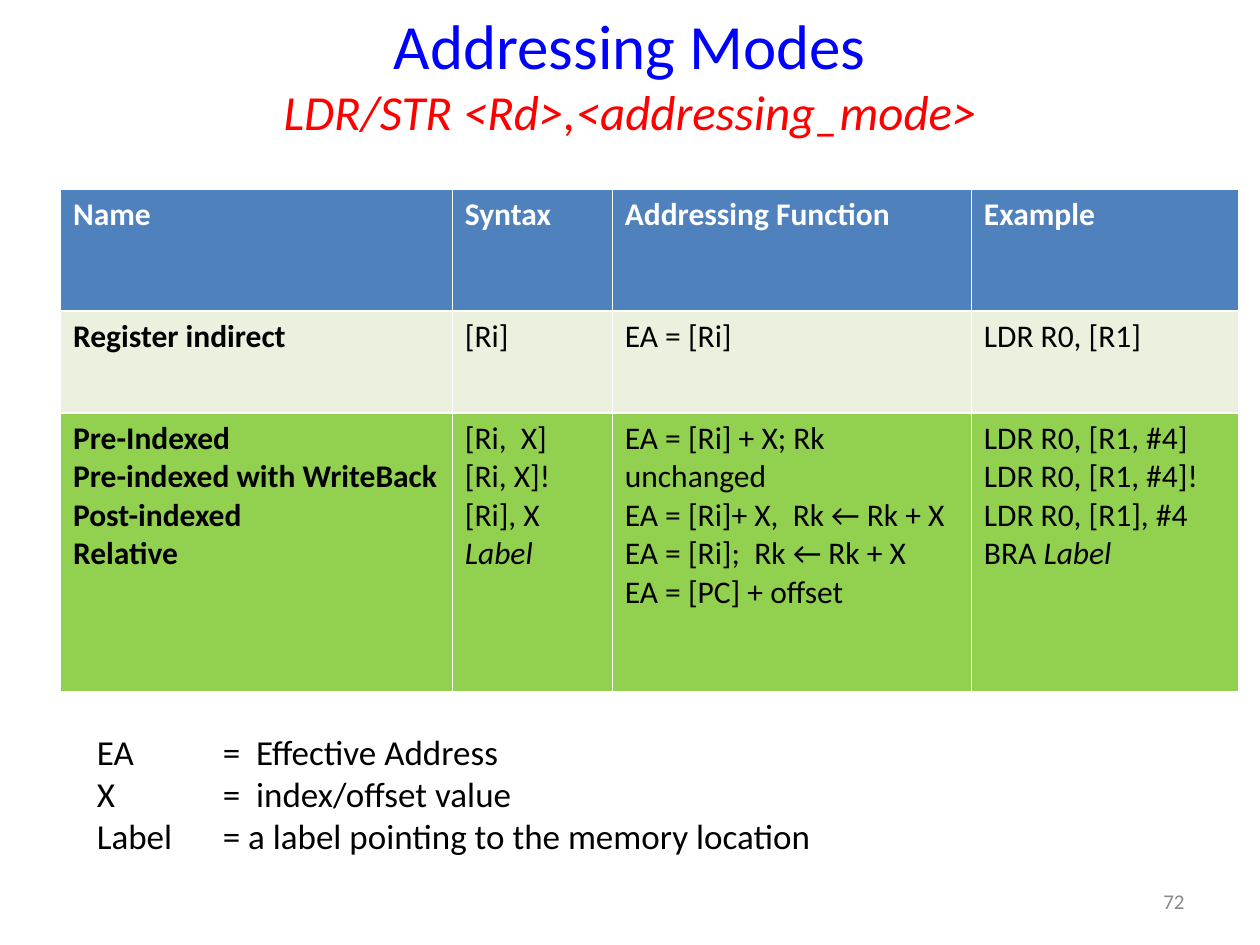
from lxml.etree import SubElement
from pptx import Presentation
from pptx.dml.color import RGBColor
from pptx.enum.text import MSO_ANCHOR, MSO_AUTO_SIZE, PP_ALIGN
from pptx.oxml.ns import qn
from pptx.util import Inches, Pt

HEADERS = ["Name", "Syntax", "Addressing Function", "Example"]
REGISTER_INDIRECT = ["Register indirect", "[Ri]", "EA = [Ri]", "LDR R0, [R1]"]
INDEXED = [
    "Pre-Indexed\nPre-indexed with WriteBack\nPost-indexed\nRelative",
    "[Ri,  X]\n[Ri, X]!\n[Ri], X\n*Label*",
    "EA = [Ri] + X; Rk unchanged\nEA = [Ri]+ X,  Rk ← Rk + X\n"
    "EA = [Ri];  Rk ← Rk + X\nEA = [PC] + offset",
    "LDR R0, [R1, #4]\nLDR R0, [R1, #4]!\nLDR R0, [R1], #4\nBRA *Label*",
]
COLUMN_WIDTHS = [3.11, 1.27, 2.85, 2.12]
ROWS = [
    (HEADERS, 0.97, "4F81BD", "FFFFFF"),
    (REGISTER_INDIRECT, 0.81, "EBF1DE", "000000"),
    (INDEXED, 2.21, "92D050", "000000"),
]
LEGEND = [
    "EA\t=  Effective Address",
    "X\t=  index/offset value",
    "Label\t= a label pointing to the memory location",
]


def color(hex_value):
    return RGBColor.from_string(hex_value)


def write(para, text, size=18, fill="000000", bold=False, align=PP_ALIGN.LEFT,
          tab=None, font="Calibri"):
    """Text between asterisks is set in italics."""
    if tab is not None:
        tabs = SubElement(para._p.get_or_add_pPr(), qn("a:tabLst"))
        SubElement(tabs, qn("a:tab"), pos=str(tab), algn="l")
    para.alignment = align
    for index, part in enumerate(text.split("*")):
        if part:
            span = para.add_run()
            span.text = part
            span.font.name = font
            span.font.size = Pt(size)
            span.font.bold = bold
            span.font.italic = index % 2 == 1
            span.font.color.rgb = color(fill)


def write_lines(frame, lines, **style):
    for index, line in enumerate(lines):
        para = frame.add_paragraph() if index else frame.paragraphs[0]
        write(para, line, **style)


class SlideBuilder:
    def __init__(self, deck):
        self.page = deck.slides.add_slide(deck.slide_layouts[5])

    def title(self, heading, subheading, left, top, width, height):
        box = self.page.shapes.title
        box.left, box.top = Inches(left), Inches(top)
        box.width, box.height = Inches(width), Inches(height)
        frame = box.text_frame
        frame.auto_size = MSO_AUTO_SIZE.NONE
        frame.vertical_anchor = MSO_ANCHOR.TOP
        write(frame.paragraphs[0], heading, size=36, fill="0000FF",
              align=PP_ALIGN.CENTER)
        write(frame.add_paragraph(), subheading, size=28, fill="FF0000",
              align=PP_ALIGN.CENTER)

    def table(self, rows, widths, left, top):
        height = sum(row[1] for row in rows)
        table = self.page.shapes.add_table(
            len(rows), len(widths), Inches(left), Inches(top),
            Inches(sum(widths)), Inches(height)).table
        for column, width in zip(table.columns, widths):
            column.width = Inches(width)
        for row_index, (texts, row_height, fill, ink) in enumerate(rows):
            table.rows[row_index].height = Inches(row_height)
            for column_index, text in enumerate(texts):
                cell = table.cell(row_index, column_index)
                cell.fill.solid()
                cell.fill.fore_color.rgb = color(fill)
                write_lines(cell.text_frame, text.split("\n"), fill=ink,
                            bold=row_index == 0 or column_index == 0)

    def text(self, lines, left, top, width, height, wrap=True,
             anchor=MSO_ANCHOR.TOP, **style):
        box = self.page.shapes.add_textbox(
            Inches(left), Inches(top), Inches(width), Inches(height))
        frame = box.text_frame
        frame.word_wrap = wrap
        frame.vertical_anchor = anchor
        write_lines(frame, lines, **style)


def main():
    deck = Presentation()
    deck.slide_width, deck.slide_height = Inches(10), Inches(7.5)
    builder = SlideBuilder(deck)
    builder.title("Addressing Modes", "*LDR/STR <Rd>,<addressing_mode>*",
                  0.5, 0, 9, 0.75)
    builder.table(ROWS, COLUMN_WIDTHS, 0.48, 1.5)
    builder.text(LEGEND, 0.67, 5.75, 5.92, 1.11, wrap=False, size=20,
                 tab=Inches(1))
    builder.text(["72"], 7.17, 6.95, 2.33, 0.4, anchor=MSO_ANCHOR.MIDDLE,
                 size=12, fill="898989", align=PP_ALIGN.RIGHT)
    deck.save("out.pptx")


if __name__ == "__main__":
    main()
